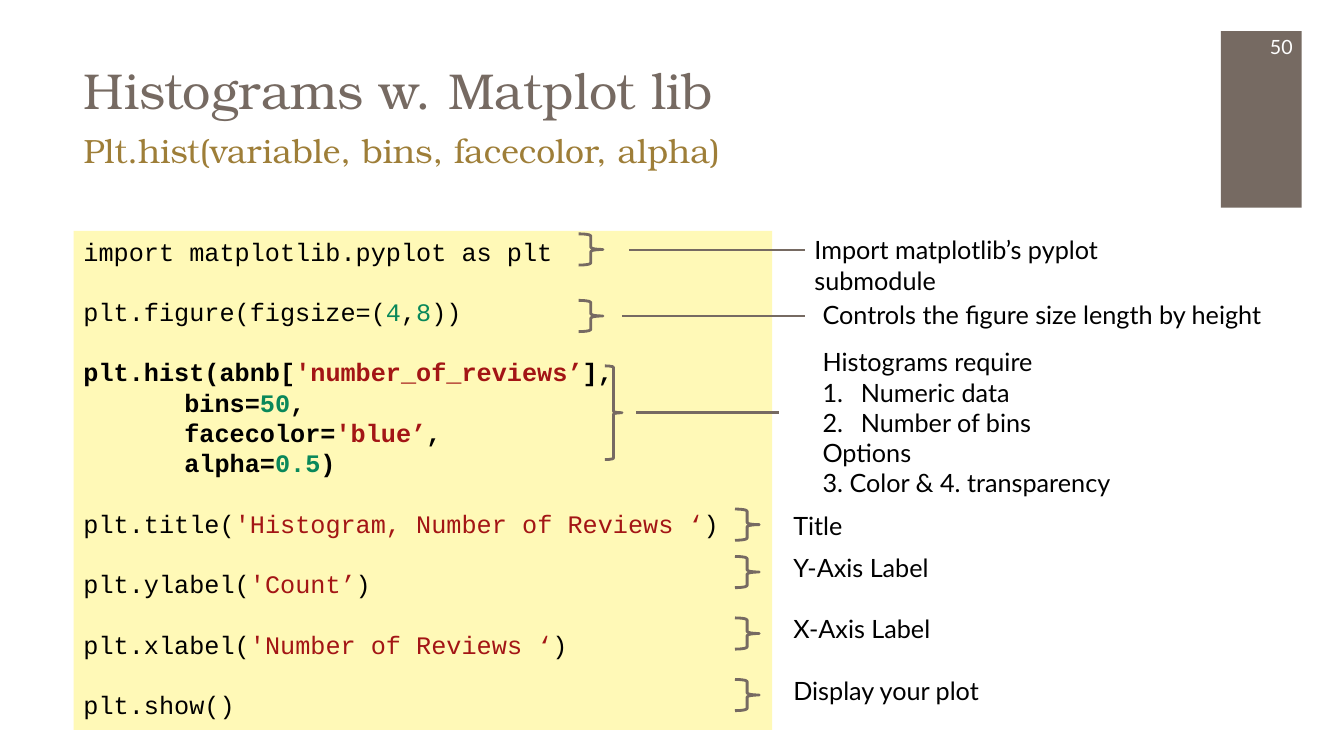
from dataclasses import dataclass
from lxml import etree
from pptx import Presentation
from pptx.dml.color import RGBColor
from pptx.enum.shapes import MSO_CONNECTOR as LINE, MSO_SHAPE as SHAPE
from pptx.enum.text import MSO_ANCHOR as ANCHOR, MSO_AUTO_SIZE as FIT, PP_ALIGN as ALIGN
from pptx.oxml.ns import qn
from pptx.util import Inches, Pt


@dataclass(frozen=True)
class Theme:
    taupe: str = "766A62"
    gold: str = "9E7E38"
    paper: str = "FFF9B7"
    black: str = "000000"
    white: str = "FFFFFF"
    string: str = "A31515"
    number: str = "09885A"
    serif: str = "TeX Gyre Bonum"
    sans: str = "Lato"
    mono: str = "Courier New"
    title: float = 36
    subtitle: float = 24
    text: float = 18
    page: float = 14
    leading: float = 21.6
    stroke: float = 2


T = Theme()
K, S, N = T.black, T.string, T.number

TITLE = "Histograms w. Matplot lib"
SUBTITLE = "Plt.hist(variable, bins, facecolor, alpha)"
PAGE = "50"

CODE = [
    [[("import matplotlib.pyplot as plt", K)]],
    [[("plt.figure(figsize=(", K), ("4", N), (",", K), ("8", N), ("))", K)]],
    [
        [("plt.hist(abnb[", K), ("'number_of_reviews’", S), ("],", K)],
        [("\t\tbins=", K), ("50", N), (",", K)],
        [("\t\tfacecolor=", K), ("'blue’", S), (",", K)],
        [("\t\talpha=", K), ("0.5", N), (")", K)],
    ],
    [[("plt.title(", K), ("'Histogram, Number of Reviews ‘", S), (")", K)]],
    [[("plt.ylabel(", K), ("'Count’", S), (")", K)]],
    [[("plt.xlabel(", K), ("'Number of Reviews ‘", S), (")", K)]],
    [[("plt.show()", K)]],
]
BOLD_BLOCK = 2

HIST_NOTE = ["Histograms require", "Numeric data", "Number of bins",
             "Options", "3. Color & 4. transparency"]
NUMBERED = {"Numeric data", "Number of bins"}
AXIS_NOTES = ["Y-Axis Label", "X-Axis Label", "Display your plot"]

CELL = Inches(0.1)
BRACE_W, BRACE_H, LABEL_W, LABEL_H = 2.4, 3.1, 48.4, 4
LEFT_BRACE, RIGHT_BRACE, RIGHT_LABEL = 57.4, 72.9, 77.7
AXIS_TOP, AXIS_STEP = 55.2, 6.1

NOTES = [
    (["Import matplotlib’s pyplot submodule"],
     (LEFT_BRACE, 23.2, BRACE_W, BRACE_H), (79.8, 22.8, 42.6, LABEL_H), (62.4, 79.8)),
    (["Controls the figure size length by height"],
     (LEFT_BRACE, 29.8, BRACE_W, BRACE_H), (80.6, 29.2, LABEL_W, LABEL_H), (61.7, 79.8)),
    (HIST_NOTE, (60, 36.3, 1.7, 9.3), (80.6, 33.9, LABEL_W, 16.2), (63.1, 77.3)),
    (["Title"], (RIGHT_BRACE, 50.5, BRACE_W, BRACE_H),
     (RIGHT_LABEL, 50.1, LABEL_W, LABEL_H), None),
]
for i, note in enumerate(AXIS_NOTES):
    top = AXIS_TOP + i * AXIS_STEP
    NOTES.append(([note], (RIGHT_BRACE, top, BRACE_W, BRACE_H),
                  (RIGHT_LABEL, top - 0.9, LABEL_W, LABEL_H), None))


def grid(*cells):
    return [round(c * CELL) for c in cells]


def rgb(value):
    return RGBColor.from_string(value)


def set_font(font, name, size, color, bold=False):
    font.name, font.size, font.bold = name, Pt(size), bold
    font.color.rgb = rgb(color)


def add_child(parent, tag, **attrs):
    return etree.SubElement(parent, qn(tag), attrs)


def set_frame(tf, anchor=ANCHOR.TOP):
    tf.word_wrap = True
    tf.auto_size = FIT.NONE
    tf.vertical_anchor = anchor


def paragraphs(tf, count):
    return [tf.paragraphs[0]] + [tf.add_paragraph() for _ in range(count - 1)]


def add_label(s, cells, lines, size=T.text, color=T.black, align=ALIGN.LEFT, anchor=ANCHOR.TOP):
    box = s.shapes.add_textbox(*grid(*cells))
    tf = box.text_frame
    set_frame(tf, anchor)
    for p, line in zip(paragraphs(tf, len(lines)), lines):
        p.text, p.alignment = line, align
        if line in NUMBERED:
            pPr = p._p.get_or_add_pPr()
            pPr.set("marL", str(Inches(0.38)))
            pPr.set("indent", str(-Inches(0.38)))
            add_child(pPr, "a:buFont", typeface="+mj-lt")
            add_child(pPr, "a:buAutoNum", type="arabicPeriod")
        set_font(p.font, T.sans, size, color)
    return box


def add_block(s, cells, color):
    sp = s.shapes.add_shape(SHAPE.RECTANGLE, *grid(*cells))
    sp.shadow.inherit = False
    sp.fill.solid()
    sp.fill.fore_color.rgb = rgb(color)
    sp.line.fill.background()
    return sp


def fill_placeholder(sp, cells, text, size, color, anchor):
    sp.left, sp.top, sp.width, sp.height = grid(*cells)
    tf = sp.text_frame
    set_frame(tf, anchor)
    p = tf.paragraphs[0]
    p.text, p.alignment, p.space_before = text, ALIGN.LEFT, Pt(0)
    pPr = p._p.get_or_add_pPr()
    pPr.set("marL", "0")
    pPr.set("indent", "0")
    add_child(pPr, "a:buNone")
    set_font(p.font, T.serif, size, color)


def add_code(s, cells):
    tf = add_block(s, cells, T.paper).text_frame
    set_frame(tf)
    rows = [(line, b == BOLD_BLOCK, b > 0 and i == 0)
            for b, block in enumerate(CODE) for i, line in enumerate(block)]
    for p, (line, bold, gap) in zip(paragraphs(tf, len(rows)), rows):
        p.alignment, p.line_spacing = ALIGN.LEFT, Pt(T.leading)
        p.space_before = Pt(T.leading if gap else 0)
        tabs = add_child(p._p.get_or_add_pPr(), "a:tabLst")
        for stop in (0.5, 1):
            add_child(tabs, "a:tab", pos=str(Inches(stop)), algn="l")
        set_font(p.font, T.mono, T.text, T.black, bold)
        for text, color in line:
            r = p.add_run()
            r.text = text
            r.font.color.rgb = rgb(color)


def set_stroke(sp):
    sp.line.color.rgb = rgb(T.taupe)
    sp.line.width = Pt(T.stroke)


def add_note(s, lines, brace, label, span):
    sp = s.shapes.add_shape(SHAPE.RIGHT_BRACE, *grid(*brace))
    sp.shadow.inherit = False
    sp.fill.background()
    set_stroke(sp)
    box = add_label(s, label, lines)
    if span:
        joined = span[1] == label[0]
        _, top, _, height = label if joined else brace
        mid = top + height / 2
        line = s.shapes.add_connector(LINE.STRAIGHT, *grid(span[0], mid, span[1], mid))
        set_stroke(line)
        add_child(line._element.spPr, "a:effectLst")
        if joined:
            line.end_connect(box, 1)


def main():
    prs = Presentation()
    prs.slide_width, prs.slide_height = Inches(13.33), Inches(7.5)
    s = prs.slides.add_slide(prs.slide_layouts[1])
    fill_placeholder(s.shapes.title, (7.3, 1.5, 110.2, 10.9), TITLE, T.title, T.taupe, ANCHOR.BOTTOM)
    fill_placeholder(s.placeholders[1], (7.3, 12.4, 110.2, 8.5), SUBTITLE, T.subtitle, T.gold, ANCHOR.TOP)
    add_block(s, (121.1, 3.1, 8, 17.5), T.taupe)
    add_label(s, (121.1, 2.6, 8.1, 4), [PAGE], T.page, T.white, ALIGN.RIGHT, ANCHOR.MIDDLE)
    add_code(s, (7.3, 22.9, 69.3, 49.5))
    for note in NOTES:
        add_note(s, *note)
    prs.save("out.pptx")


if __name__ == "__main__":
    main()
